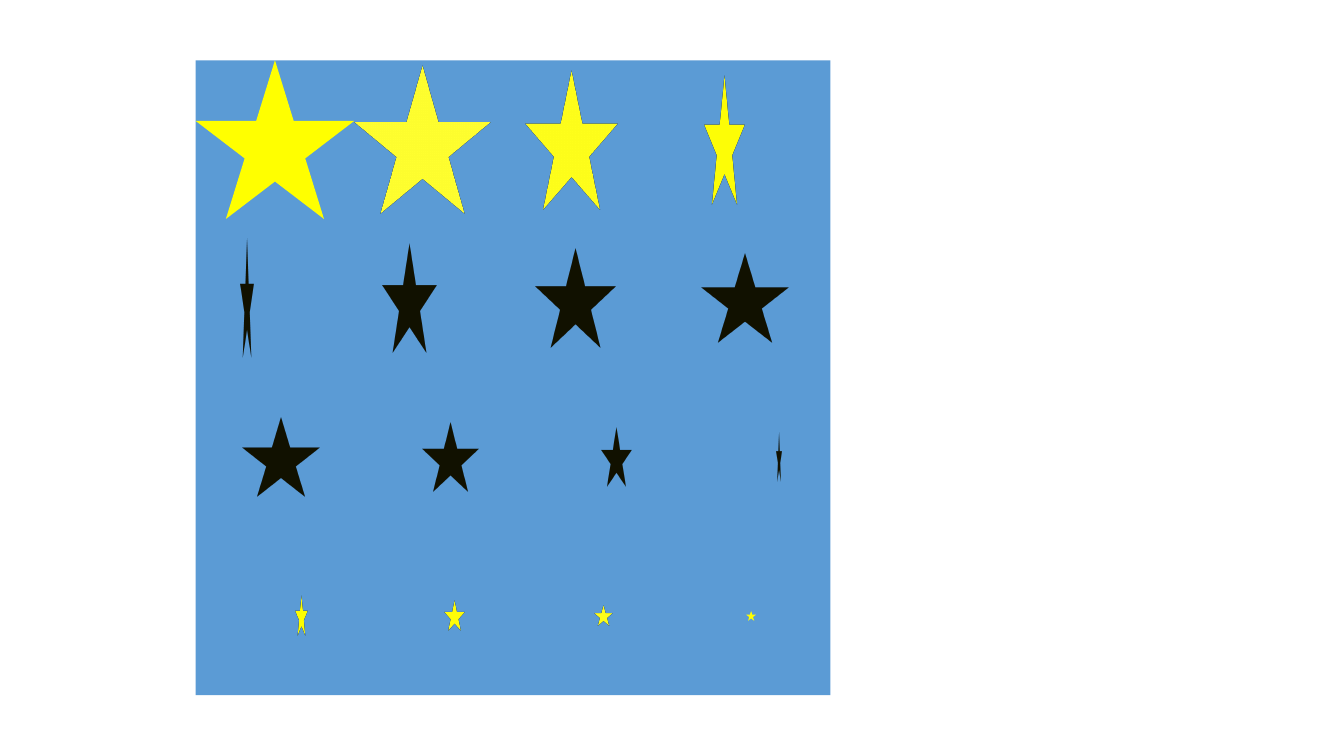
"""Blue square holding a 4 by 4 grid of shrinking stars that spin one full turn."""
from pptx import Presentation
from pptx import oxml
from pptx.dml.color import RGBColor
from pptx.enum import shapes
from pptx.oxml import ns
from pptx.util import Cm

BLUE = RGBColor(0x5B, 0x9B, 0xD5)
YELLOW = RGBColor(0xFF, 0xFF, 0x00)
LEFT, TOP = 4.93, 1.52
GRID = 4
CELL = 4
STAR_COUNT = GRID * GRID
SHRINK = CELL / STAR_COUNT
TURN = 360 // (STAR_COUNT - 1)
UNITS_PER_DEGREE = 60000
LIFT = Cm(0.71)


def add_flat(kind, left, top, size, color):
    shape = slide.shapes.add_shape(kind, Cm(left), Cm(top), Cm(size), Cm(size))
    shape.fill.solid()
    shape.fill.fore_color.rgb = color
    shape.line.fill.background()
    shape.shadow.inherit = False
    return shape


def spin(shape, degrees):
    namespace = ns.nsdecls("a")
    shape._element.spPr.append(oxml.parse_xml(
        f'<a:scene3d {namespace}><a:camera prst="orthographicFront">'
        f'<a:rot lat="0" lon="{degrees * UNITS_PER_DEGREE}" rev="0"/></a:camera>'
        '<a:lightRig rig="threePt" dir="t"/></a:scene3d>'))
    shape._element.spPr.append(oxml.parse_xml(f'<a:sp3d {namespace} z="{LIFT}"/>'))


prs = Presentation()
prs.slide_width, prs.slide_height = Cm(33.87), Cm(19.05)
slide = prs.slides.add_slide(prs.slide_layouts[6])

add_flat(shapes.MSO_SHAPE.RECTANGLE, LEFT, TOP, GRID * CELL, BLUE)

for index in range(STAR_COUNT):
    row, column = divmod(index, GRID)
    size = CELL - index * SHRINK
    margin = (CELL - size) / 2
    star = add_flat(shapes.MSO_SHAPE.STAR_5_POINT, LEFT + column * CELL + margin,
                    TOP + row * CELL + margin, size, YELLOW)
    angle = index * TURN % 360
    if angle:
        spin(star, angle)

prs.save("out.pptx")
